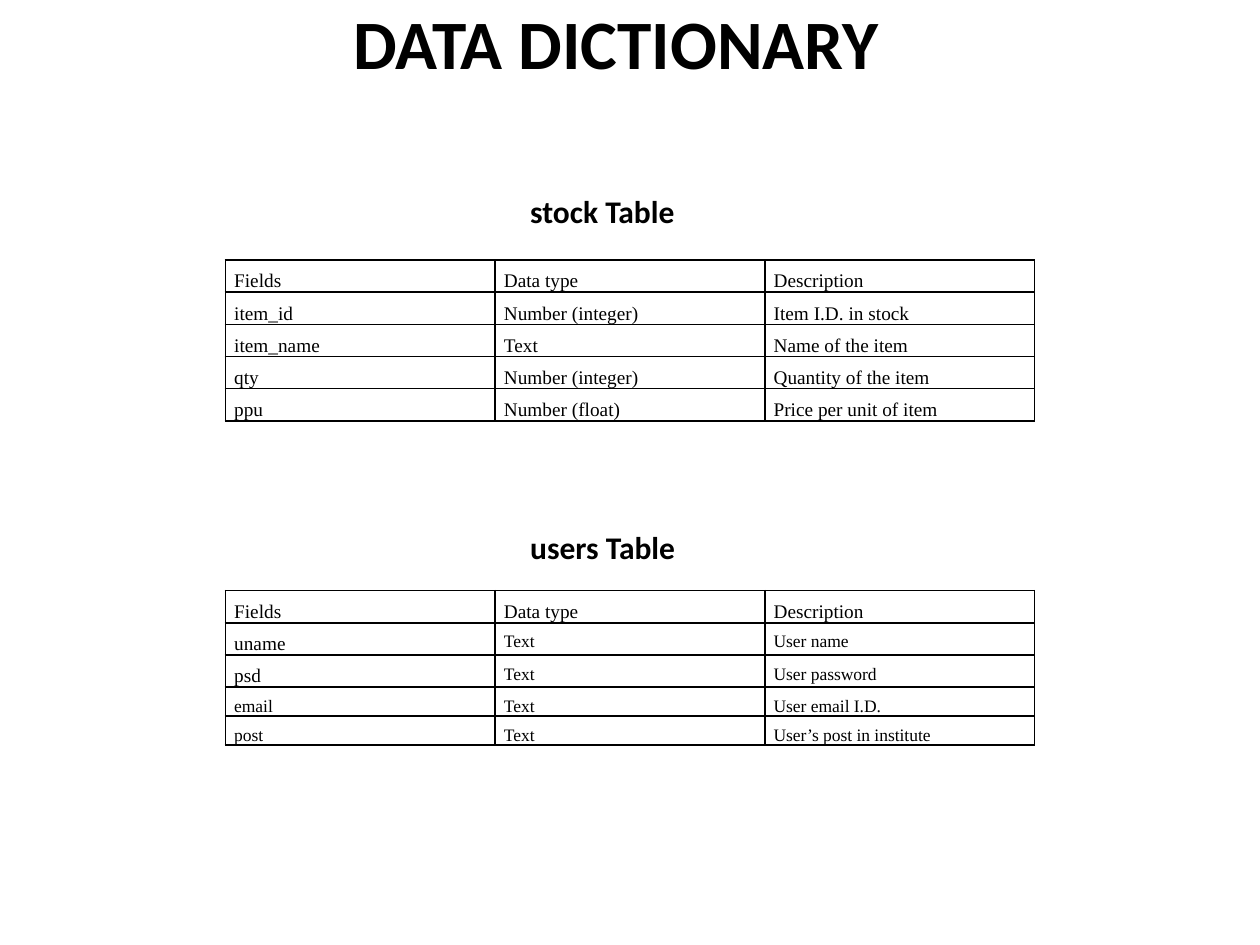
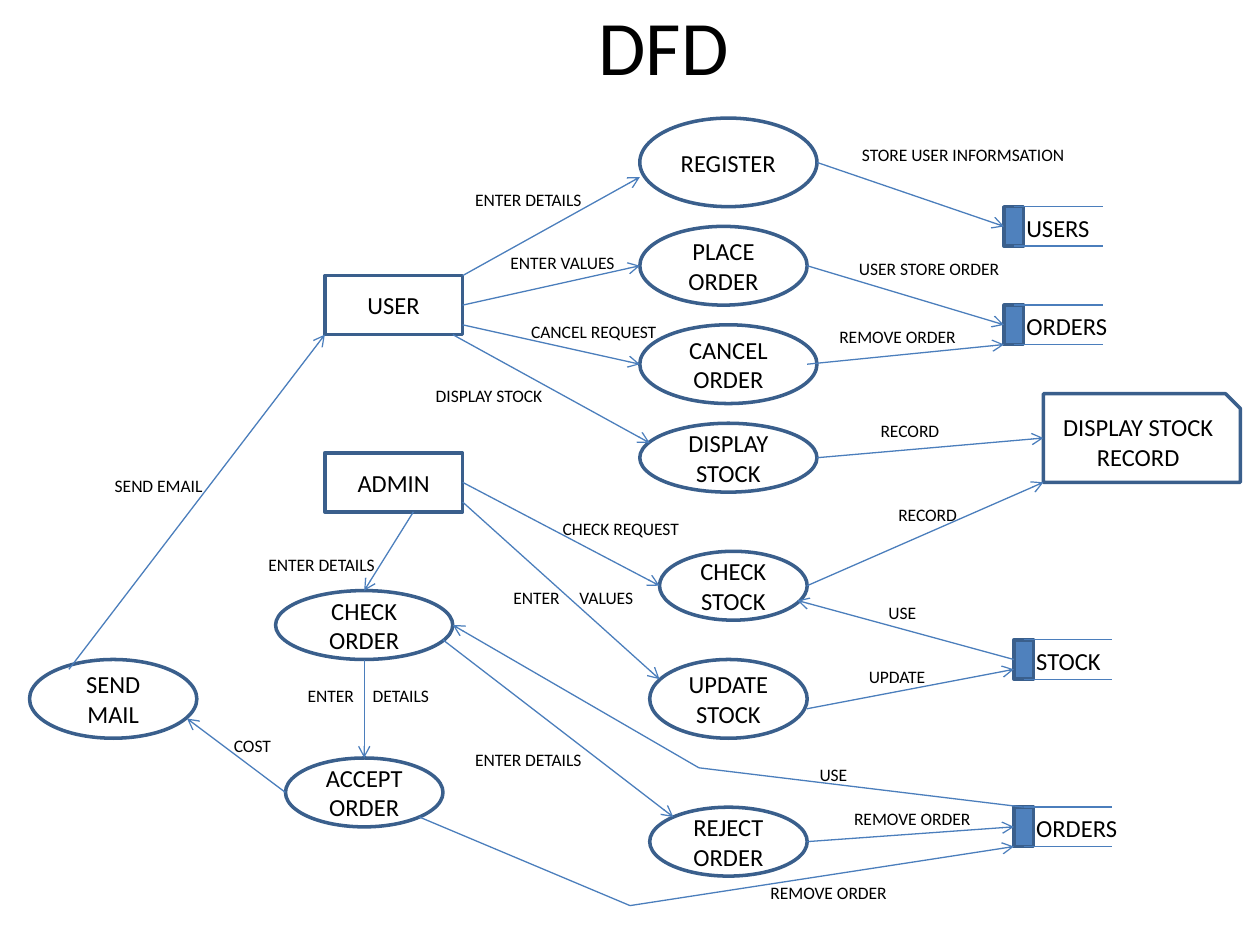
from lxml.etree import SubElement as sub
from pptx import Presentation
from pptx.dml.color import RGBColor as RGB
from pptx.enum.shapes import MSO_CONNECTOR as LINK, MSO_SHAPE as SHAPE
from pptx.enum.text import MSO_ANCHOR as ANCHOR, PP_ALIGN as ALIGN
from pptx.oxml import parse_xml
from pptx.oxml.ns import nsdecls, qn
from pptx.util import Inches, Pt

BLACK = RGB(0, 0, 0)
WHITE = RGB(255, 255, 255)
BLUE = RGB(0x4F, 0x81, 0xBD)
EDGE = RGB(0x3A, 0x5F, 0x8C)
FLOW = RGB(0x4B, 0x7E, 0xBC)
SANS = "Calibri"
SERIF = "Times New Roman"
COLS, ROWS = 128, 96

STOCK = [
    ("Fields", "Data type", "Description"),
    ("item_id", "Number (integer)", "Item I.D. in stock"),
    ("item_name", "Text", "Name of the item"),
    ("qty", "Number (integer)", "Quantity of the item"),
    ("ppu", "Number (float)", "Price per unit of item"),
]
USERS = [
    ("Fields", "Data type", "Description"),
    ("uname", "Text", "User name"),
    ("psd", "Text", "User password"),
    ("email", "Text", "User email I.D."),
    ("post", "Text", "User’s post in institute"),
]
STOCK_SIZES = [(11, 11, 11)] * 5
USER_SIZES = [(11, 11, 11)] + [(11, 10, 10)] * 2 + [(10, 10, 10)] * 2

NODES = [
    (SHAPE.RECTANGLE, "USER", 33, 28, 14, 6),
    (SHAPE.RECTANGLE, "ADMIN", 33, 46, 14, 6),
    (SHAPE.OVAL, "REGISTER", 65, 12, 18, 9),
    (SHAPE.OVAL, "PLACE ORDER", 65, 23, 17, 8),
    (SHAPE.OVAL, "CANCEL ORDER", 65, 33, 18, 8),
    (SHAPE.OVAL, "DISPLAY STOCK", 65, 43, 18, 7),
    (SHAPE.OVAL, "ACCEPT ORDER", 29, 77, 16, 7),
    (SHAPE.OVAL, "REJECT ORDER", 66, 82, 16, 7),
    (SHAPE.OVAL, "UPDATE STOCK", 66, 67, 16, 8),
    (SHAPE.OVAL, "CHECK ORDER", 28, 60, 18, 7),
    (SHAPE.OVAL, "SEND MAIL", 3, 67, 17, 8),
    (SHAPE.SNIP_1_RECTANGLE, "DISPLAY STOCK RECORD", 106, 40, 20, 9),
    (SHAPE.OVAL, "CHECK STOCK", 67, 56, 15, 7),
]
STORES = [
    ("USERS", 102, 21, 9.1),
    ("ORDERS", 102, 31, 10.9),
    ("STOCK", 103, 65, 9.2),
    ("ORDERS", 103, 82, 10.9),
]
FLOWS = [
    [(47, 28), (65, 18)],
    [(47, 31), (65, 27)],
    [(47, 33), (65, 37)],
    [(46, 34), (66, 45)],
    [(83, 46.5), (106, 44.5)],
    [(83, 16.5), (102, 23)],
    [(82, 27), (102, 33)],
    [(82, 37), (102, 35)],
    [(82, 59.5), (106, 49)],
    [(47, 49), (67, 59.5)],
    [(47, 51), (67, 69)],
    [(42, 52), (37, 60)],
    [(37, 67), (37, 77)],
    [(29, 80.5), (19, 73)],
    [(7, 68), (33, 34)],
    [(103, 67), (81, 61)],
    [(82, 72), (103, 68)],
    [(45, 65), (68.4, 83)],
    [(82, 85.5), (103, 84)],
    [(42.6, 83), (64, 92), (103, 86)],
    [(104, 82), (71, 78), (46, 63.5)],
]
LABELS = [
    ("ENTER DETAILS", 47, 18.6, 13.7),
    ("ENTER VALUES", 50.6, 25, 13.4),
    ("CANCEL REQUEST", 52.7, 32, 15.5),
    ("DISPLAY STOCK", 43, 38.5, 13.7),
    ("STORE USER INFORMSATION", 86.3, 14, 23.5),
    ("USER STORE ORDER", 86, 25.6, 17),
    ("REMOVE ORDER", 84, 32.5, 14.5),
    ("RECORD", 88.2, 42, 8.7),
    ("RECORD", 90, 50.6, 8.7),
    ("CHECK REQUEST", 55.9, 52, 14.6),
    ("ENTER", 50.9, 59, 7.3),
    ("VALUES", 57.6, 59, 8.1),
    ("USE", 89, 60.5, 5.4),
    ("UPDATE", 87, 67, 8.6),
    ("ENTER DETAILS", 26, 55.6, 13.7),
    ("ENTER", 30, 69, 7.3),
    ("DETAILS", 36.6, 69, 8.3),
    ("COST", 22.5, 74, 6.4),
    ("SEND EMAIL", 10.4, 47.6, 11.6),
    ("USE", 82, 77, 5.4),
    ("ENTER DETAILS", 47, 75.5, 14.1),
    ("REMOVE ORDER", 77, 89, 14.5),
    ("REMOVE ORDER", 85.5, 81.5, 14.5),
]


def grid(box):
    left, top, wide, high = box

    def place(x, y, w=0, h=0):
        return (int(left + wide * x / COLS), int(top + high * y / ROWS),
                int(wide * w / COLS), int(high * h / ROWS))
    return place


def write(frame, text, size=14, font=SANS, bold=False, align=ALIGN.LEFT, space=None):
    para = frame.paragraphs[0]
    para.alignment = align
    para.line_spacing = space
    run = para.add_run()
    run.text = text
    run.font.size = Pt(size)
    run.font.name = font
    run.font.bold = bold
    run.font.color.rgb = BLACK


def head(slide, text, box, size, bold=False, anchor=ANCHOR.MIDDLE):
    title = slide.shapes.title
    title.left, title.top, title.width, title.height = box
    frame = title.text_frame
    frame.vertical_anchor = anchor
    frame.margin_top = frame.margin_bottom = 0
    write(frame, text, size=size, bold=bold, align=ALIGN.CENTER)


def label(slide, text, box, **form):
    frame = slide.shapes.add_textbox(*box).text_frame
    frame.word_wrap = False
    write(frame, text, **form)


def shape(slide, kind, box, fill):
    item = slide.shapes.add_shape(kind, *box)
    item.shadow.inherit = False
    item.fill.solid()
    item.fill.fore_color.rgb = fill
    item.line.color.rgb = EDGE
    item.line.width = Pt(2)
    return item


def line(slide, start, end, arrow=False):
    link = slide.shapes.add_connector(LINK.STRAIGHT, *start[:2], *end[:2])
    link.line.color.rgb = FLOW
    link.line.width = Pt(0.75)
    if arrow:
        sub(link.line._get_or_add_ln(), qn("a:tailEnd"), type="arrow")
    sub(link._element.spPr, qn("a:effectLst"))


def border(cell):
    props = cell._tc.get_or_add_tcPr()
    for spot, side in enumerate("LRTB"):
        props.insert(spot, parse_xml(
            f'<a:ln{side} {nsdecls("a")} w="12700"><a:solidFill>'
            f'<a:srgbClr val="{BLACK}"/></a:solidFill></a:ln{side}>'))


def table(slide, rows, sizes, box):
    frame = slide.shapes.add_table(len(rows), len(rows[0]), *box)
    for r, row in enumerate(rows):
        frame.table.rows[r].height = Inches(0.2)
        for c, text in enumerate(row):
            cell = frame.table.cell(r, c)
            cell.fill.background()
            cell.margin_left = cell.margin_right = Inches(0.07)
            cell.margin_top = cell.margin_bottom = 0
            write(cell.text_frame, text, size=sizes[r][c], font=SERIF, space=1.5)
            border(cell)
    frame.height = box[3]


def store(slide, text, place, x, y, w):
    label(slide, text, place(x + 1, y, w, 4.3))
    shape(slide, SHAPE.RECTANGLE, place(x, y, 2, 4), BLUE)
    for edge in (y, y + 4):
        line(slide, place(x + 1, edge), place(x + 10, edge))


def data(slide, box):
    place = grid(box)
    head(slide, "DATA DICTIONARY", place(5, 0, 115.2, 16), 39.6, bold=True,
         anchor=ANCHOR.TOP)
    table(slide, STOCK, STOCK_SIZES, place(22.9, 26.4, 82.2, 17.7))
    table(slide, USERS, USER_SIZES, place(22.9, 60, 82.2, 16.9))
    for text, y in (("stock Table", 18.9), ("users Table", 53)):
        label(slide, text, place(52.6, y, 17.4, 9.1), size=18, bold=True)


def chart(slide, box):
    place = grid(box)
    head(slide, "DFD", place(9.8, -3, 115.2, 15), 44)
    for kind, text, *spot in NODES:
        item = shape(slide, kind, place(*spot), WHITE)
        write(item.text_frame, text, align=ALIGN.CENTER)
    for text, *spot in STORES:
        store(slide, text, place, *spot)
    for points in FLOWS:
        for start, end in zip(points, points[1:]):
            line(slide, place(*start), place(*end), arrow=end is points[-1])
    for text, x, y, w in LABELS:
        label(slide, text, place(x, y, w, 3.5), size=10)


deck = Presentation()
deck.slide_width, deck.slide_height = Inches(10), Inches(7.5)
for draw in (data, chart):
    page = deck.slides.add_slide(deck.slide_layouts[5])
    draw(page, (0, 0, deck.slide_width, deck.slide_height))
deck.save("out.pptx")
